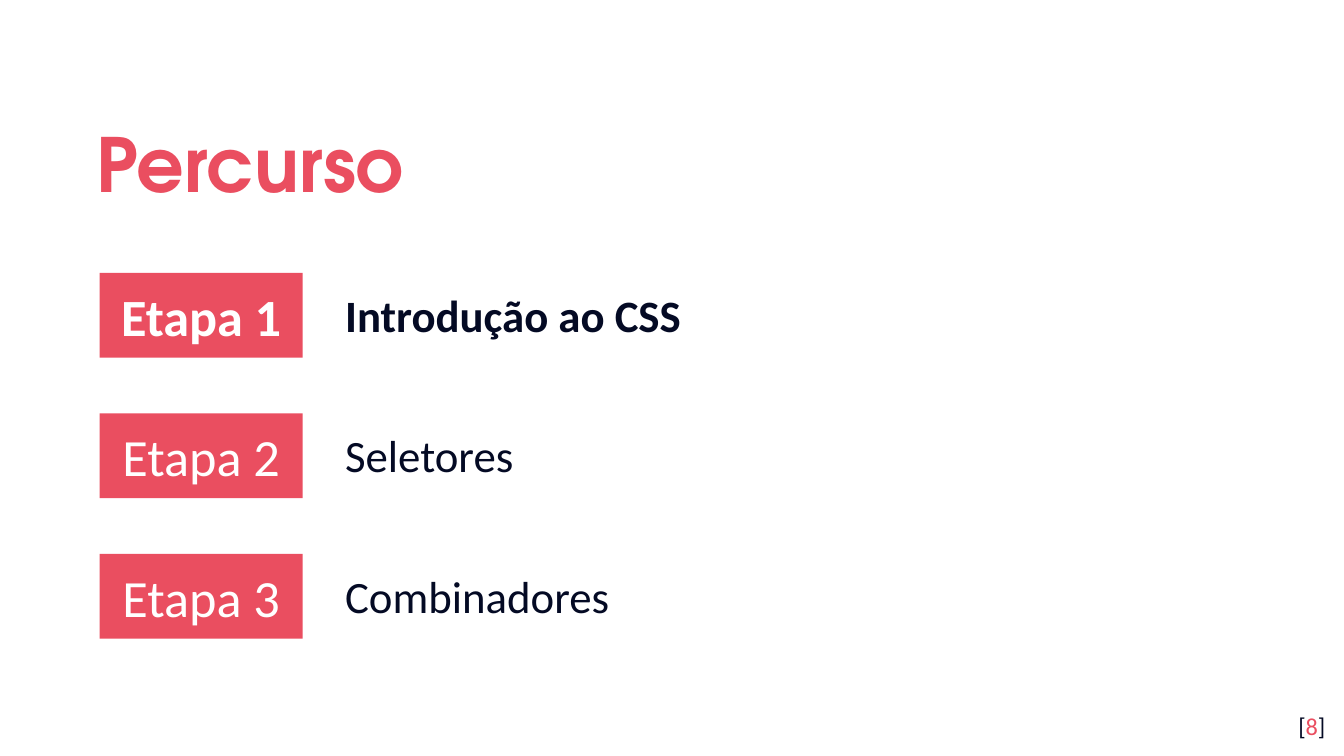
"""Builds the course outline slide with three numbered stages."""
from pptx import Presentation
from pptx.dml.color import RGBColor
from pptx.enum.shapes import MSO_SHAPE
from pptx.enum.text import MSO_ANCHOR, PP_ALIGN
from pptx.util import Pt

CORAL = RGBColor(0xEA, 0x4E, 0x60)
NAVY = RGBColor(0x04, 0x0A, 0x24)
WHITE = RGBColor(0xFF, 0xFF, 0xFF)
RECTANGLE = MSO_SHAPE.RECTANGLE
TOP, MIDDLE = MSO_ANCHOR.TOP, MSO_ANCHOR.MIDDLE
LEFT, CENTER, RIGHT = PP_ALIGN.LEFT, PP_ALIGN.CENTER, PP_ALIGN.RIGHT
BODY_FONT = "Calibri"
TITLE_FONT = "TeX Gyre Adventor"

STAGES = ["Introdução ao CSS", "Seletores", "Combinadores"]
CURRENT_STAGE = 1
STAGE_TOP = 146.2
STAGE_PITCH = 75.3


def style_span(span, size, color, bold=False, font=BODY_FONT):
    """Format one run of text."""
    span.font.name = font
    span.font.size = Pt(size)
    span.font.bold = bold
    span.font.color.rgb = color


def set_frame(shape, anchor, align, inset=7.2):
    """Set the layout of a text frame and return its first paragraph."""
    frame = shape.text_frame
    frame.word_wrap = True
    frame.vertical_anchor = anchor
    frame.margin_left = frame.margin_right = Pt(7.2)
    frame.margin_top = frame.margin_bottom = Pt(inset)
    para = frame.paragraphs[0]
    para.alignment = align
    return para


def add_text(page, left, top, width, height, anchor=TOP, align=LEFT, inset=7.2):
    """Add a text box and return its first paragraph."""
    box = page.shapes.add_textbox(Pt(left), Pt(top), Pt(width), Pt(height))
    return set_frame(box, anchor, align, inset)


def add_title(page, text):
    """Add the slide title."""
    para = add_text(page, 44.6, 50.4, 583.2, 66.2, MIDDLE)
    para.line_spacing = 1.15
    para.text = text
    style_span(para.runs[0], 40, CORAL, True, TITLE_FONT)


def add_stage(page, number, topic):
    """Add a stage label with its topic, bold for the current stage."""
    top = STAGE_TOP + (number - 1) * STAGE_PITCH
    bold = number == CURRENT_STAGE
    label = page.shapes.add_shape(RECTANGLE, Pt(53.4), Pt(top), Pt(108.7), Pt(45.4))
    label.shadow.inherit = False
    label.fill.solid()
    label.fill.fore_color.rgb = CORAL
    label.line.fill.background()
    para = set_frame(label, MIDDLE, CENTER)
    para.text = f"Etapa {number}"
    style_span(para.runs[0], 28, WHITE, bold)

    para = add_text(page, 177.8, top + 4.3, 486, 36, inset=3.6)
    para.text = topic
    style_span(para.runs[0], 24, NAVY, bold)


def add_page_number(page, number):
    """Add the bracketed page number."""
    para = add_text(page, 673.9, 373.7, 43.2, 31, align=RIGHT)
    for text, color in (("[", NAVY), (str(number), CORAL), ("]", NAVY)):
        span = para.add_run()
        span.text = text
        style_span(span, 13, color)


def main():
    """Build and save the slide."""
    deck = Presentation()
    deck.slide_width, deck.slide_height = Pt(720), Pt(405)
    page = deck.slides.add_slide(deck.slide_layouts[6])
    add_title(page, "Percurso")
    for number, topic in enumerate(STAGES, 1):
        add_stage(page, number, topic)
    add_page_number(page, 8)
    deck.save("out.pptx")


main()
